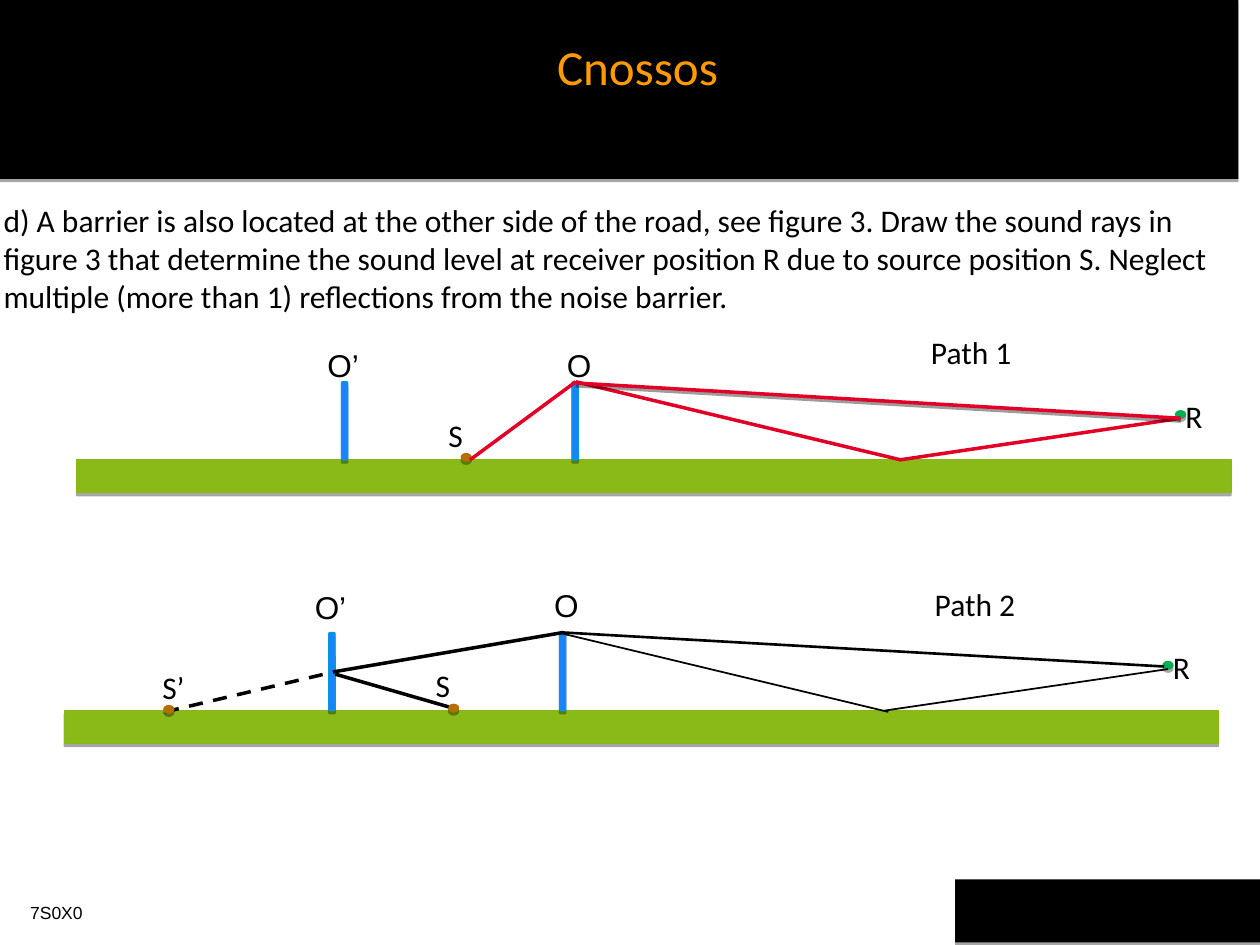
from lxml.etree import SubElement
from pptx import Presentation
from pptx.dml.color import RGBColor
from pptx.enum.dml import MSO_LINE
from pptx.enum.shapes import MSO_CONNECTOR, MSO_SHAPE
from pptx.enum.text import MSO_ANCHOR, MSO_AUTO_SIZE, PP_ALIGN
from pptx.oxml.ns import qn
from pptx.util import Inches, Pt

BLACK = RGBColor(0x00, 0x00, 0x00)
ORANGE = RGBColor(0xFF, 0x9A, 0x00)
GRASS = RGBColor(0x89, 0xBA, 0x17)
GRASS_EDGE = RGBColor(0x87, 0xB9, 0x12)
BARRIER = RGBColor(0x1A, 0x82, 0xFF)
BARRIER_EDGE = RGBColor(0x00, 0x9A, 0xDB)
SOURCE = RGBColor(0xB5, 0x6F, 0x00)
RECEIVER = RGBColor(0x00, 0xB0, 0x50)
RED = RGBColor(0xE2, 0x00, 0x26)

# Content: bands are left, top, width, height
BANDS = [(0, 0, 9.83, 1.42), (7.58, 6.98, 2.42, 0.5)]
QUESTION = (
    "d) A barrier is also located at the other side of the road, see figure 3. "
    "Draw the sound rays in figure 3 that determine the sound level at receiver "
    "position R due to source position S. Neglect multiple (more than 1) "
    "reflections from the noise barrier."
)
PATH_LABELS = [("Path 1", 7.29, 2.59), ("Path 2", 7.32, 4.59)]
EDGE_LABELS = [
    ("O’", 2.4, 4.62, 0.5),
    ("O’", 2.5, 2.7, 0.5),
    ("O", 4.3, 4.6, 0.5),
    ("O", 4.4, 2.7, 0.4),
]

# Parts shared by both figures, measured from ground left and barrier top
GROUND_DEPTH = 0.62
BARRIERS_X = [2.1, 3.93]
POINTS = [(3.05, 0.57, SOURCE), (8.72, 0.23, RECEIVER)]
POINT_LABELS = [("S", 2.85, 0.22), ("R", 8.7, 0.07)]

# Rays: start, end, width, options
FIGURES = [
    {
        "origin": (0.51, 5.02),
        "color": BLACK,
        "rays": [
            ((3.56, 5.61), (2.66, 5.35), 2, {}),
            ((2.66, 5.33), (4.47, 5.02), 2, {}),
            ((4.47, 5.03), (7.05, 5.65), 1, {}),
            ((7.02, 5.64), (9.27, 5.31), 1, {}),
            ((4.47, 5.02), (9.24, 5.29), 1.5, {}),
            ((1.31, 5.65), (2.66, 5.33), 2, {"dash": True}),
        ],
        "image_source": (0.79, 0.58),
        "image_label": ("S’", 0.68, 0.23),
    },
    {
        "origin": (0.61, 3.03),
        "color": RED,
        "rays": [
            ((3.73, 3.65), (4.57, 3.03), 2, {}),
            ((4.57, 3.03), (7.15, 3.65), 2, {}),
            ((7.14, 3.65), (9.37, 3.32), 2, {}),
            ((4.57, 3.04), (9.37, 3.32), 2, {"shadow": True}),
        ],
    },
]


def add_shadow(effects, opacity, distance):
    shadow = SubElement(effects, qn("a:outerShdw"), blurRad="0",
                        dist=str(Pt(distance)), dir="5400000",
                        algn="ctr", rotWithShape="0")
    color = SubElement(shadow, qn("a:srgbClr"), val="000000")
    SubElement(color, qn("a:alpha"), val=str(opacity * 1000))


def add_solid(shapes, preset, box, fill, edge=None):
    solid = shapes.add_shape(preset, *map(Inches, box))
    solid.fill.solid()
    solid.fill.fore_color.rgb = fill
    if edge is None:
        solid.line.fill.background()
    else:
        solid.line.color.rgb = edge
        solid.line.width = Pt(0.75)
    solid.shadow.inherit = False
    add_shadow(solid._element.spPr.find(qn("a:effectLst")), 35, 1.8)


def add_text(shapes, text, box, size=18, font="Calibri", color=BLACK,
             align=PP_ALIGN.LEFT, **frame_format):
    frame = shapes.add_textbox(*map(Inches, box)).text_frame
    frame.word_wrap = True
    for name, value in frame_format.items():
        setattr(frame, name, value)
    paragraph = frame.paragraphs[0]
    paragraph.alignment = align
    run = paragraph.add_run()
    run.text = text
    run.font.size = Pt(size)
    run.font.name = font
    run.font.color.rgb = color


def add_ray(shapes, start, end, width, color, dash=False, shadow=False):
    ray = shapes.add_connector(MSO_CONNECTOR.STRAIGHT,
                               *map(Inches, start + end))
    ray.line.color.rgb = color
    ray.line.width = Pt(width)
    if dash:
        ray.line.dash_style = MSO_LINE.DASH
    effects = SubElement(ray._element.spPr, qn("a:effectLst"))
    if shadow:
        add_shadow(effects, 38, 1.6)


def add_figure(shapes, figure):
    left, top = figure["origin"]

    def add_point(x, y, color):
        add_solid(shapes, MSO_SHAPE.OVAL, (left + x, top + y, 0.08, 0.06),
                  color, color)

    def add_point_label(text, x, y):
        add_text(shapes, text, (left + x, top + y, 0.69, 0.52))

    add_solid(shapes, MSO_SHAPE.RECTANGLE,
              (left, top + GROUND_DEPTH, 9.16, 0.26), GRASS, GRASS_EDGE)
    for x in BARRIERS_X:
        add_solid(shapes, MSO_SHAPE.ROUNDED_RECTANGLE,
                  (left + x, top, 0.05, GROUND_DEPTH), BARRIER, BARRIER_EDGE)
    for point in POINTS:
        add_point(*point)
    for label in POINT_LABELS:
        add_point_label(*label)
    for start, end, width, options in figure["rays"]:
        add_ray(shapes, start, end, width, figure["color"], **options)
    if "image_source" in figure:
        add_point(*figure["image_source"], SOURCE)
        add_point_label(*figure["image_label"])


def main():
    deck = Presentation()
    deck.slide_width, deck.slide_height = Inches(10), Inches(7.5)
    shapes = deck.slides.add_slide(deck.slide_layouts[6]).shapes

    # Header, footer and question
    for band in BANDS:
        add_solid(shapes, MSO_SHAPE.RECTANGLE, band, BLACK)
    add_text(shapes, "Cnossos", (0.67, 0.24, 8.78, 1.01), size=28,
             color=ORANGE, align=PP_ALIGN.CENTER)
    add_text(shapes, "7S0X0", (0.24, 7.14, 3.94, 0.2), size=10, font="Arial",
             vertical_anchor=MSO_ANCHOR.MIDDLE, margin_left=0, margin_right=0,
             margin_top=0, margin_bottom=0)
    grow = MSO_AUTO_SIZE.SHAPE_TO_FIT_TEXT
    add_text(shapes, QUESTION, (-0.07, 1.55, 10.07, 1), auto_size=grow)

    # Sound path figures
    for figure in FIGURES:
        add_figure(shapes.add_group_shape().shapes, figure)

    # Labels over the figures
    for text, x, y in PATH_LABELS:
        add_text(shapes, text, (x, y, 2.15, 0.51))
    for text, x, y, width in EDGE_LABELS:
        add_text(shapes, text, (x, y, width, 0.38), font="Arial",
                 auto_size=grow)

    deck.save("out.pptx")


if __name__ == "__main__":
    main()
